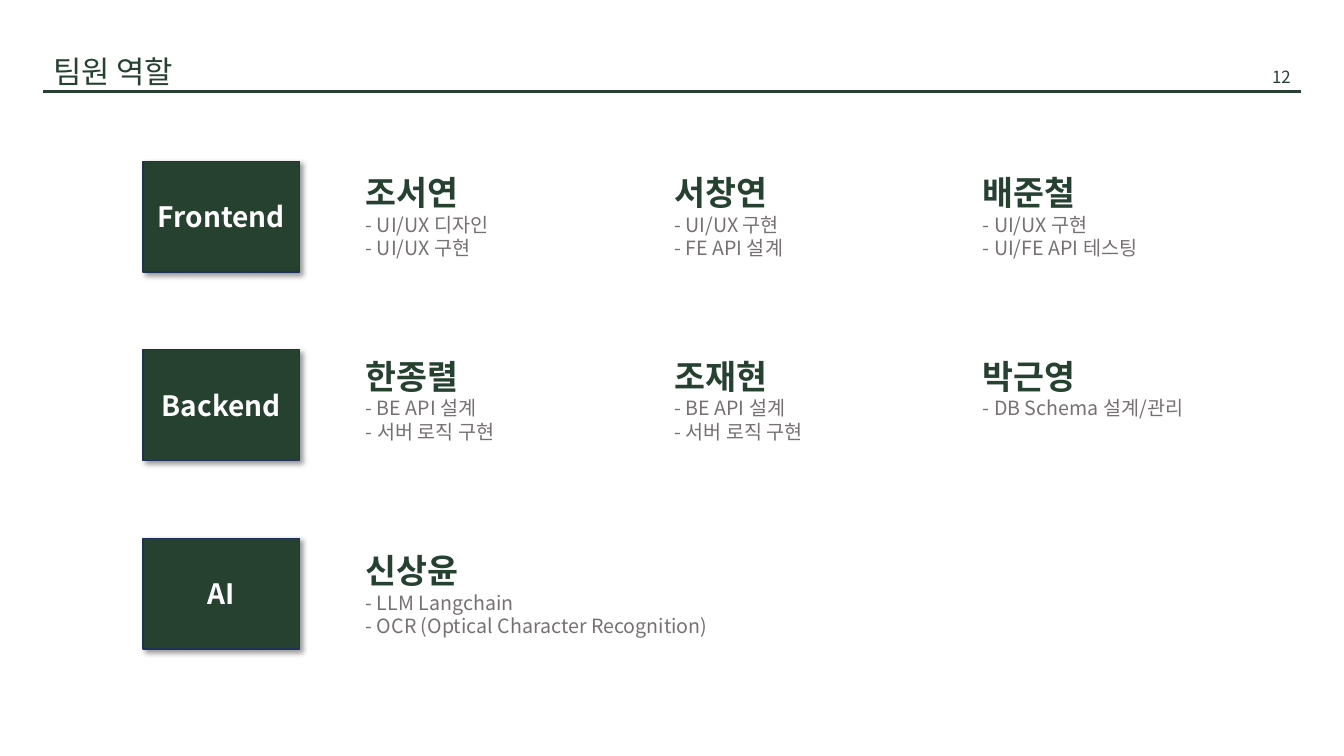
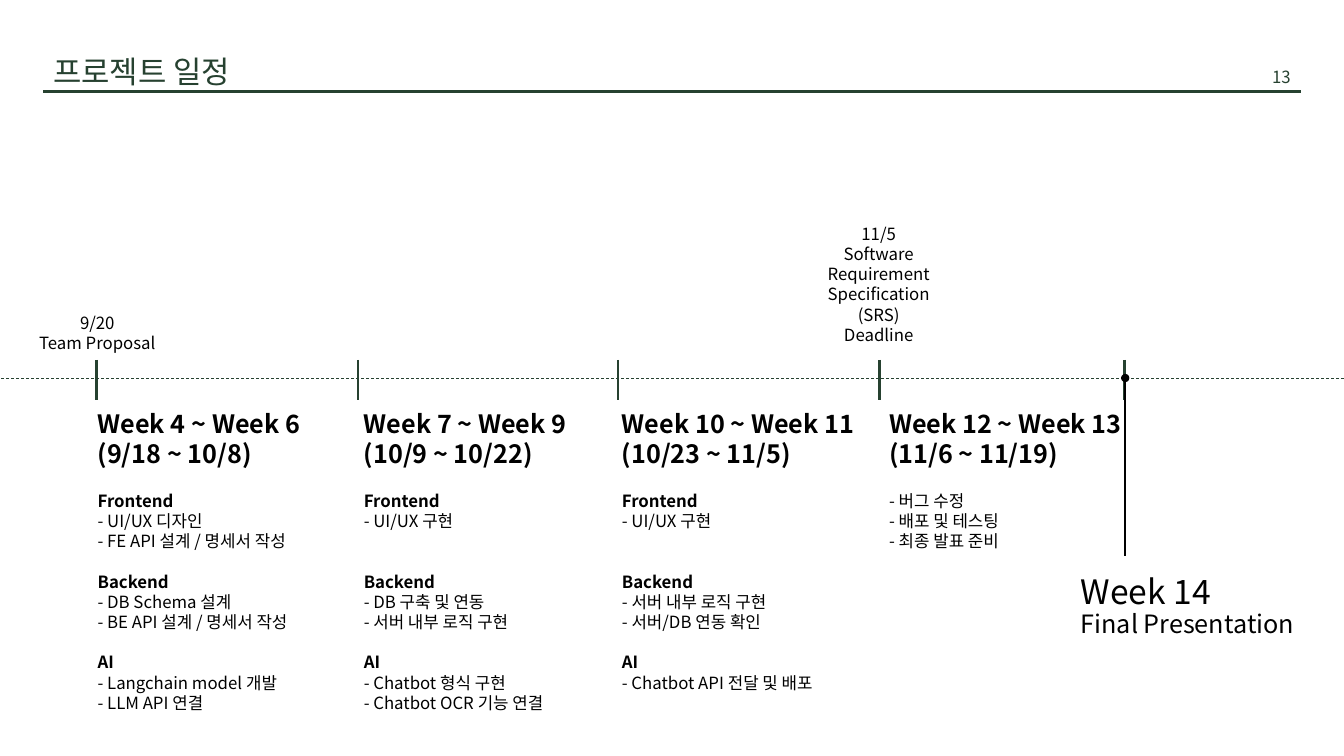
"""Build the team roles and project schedule slides."""
from lxml import etree
from pptx import Presentation
from pptx.dml.color import RGBColor
from pptx.enum import dml, shapes, text
from pptx.oxml import ns
from pptx.util import Inches, Pt

COLORS = {"green": "264130", "navy": "1E3256", "gray": "767171", "black": "000000", "white": "FFFFFF"}
FONT = "Noto Sans CJK KR"
LEADING = 1.2
STYLES = {
    "title": {"size": 22, "color": "green"},
    "number": {"size": 12, "color": "green"},
    "team": {"size": 20, "color": "white", "bold": True},
    "name": {"size": 24, "color": "green", "bold": True},
    "role": {"size": 14, "color": "gray"},
    "week": {"size": 18, "color": "black", "bold": True},
    "area": {"size": 12, "color": "black", "bold": True},
    "task": {"size": 12, "color": "black"},
    "final": {"size": 24, "color": "black"},
    "event": {"size": 18, "color": "black"},
}
LEFT, CENTER, RIGHT = text.PP_ALIGN.LEFT, text.PP_ALIGN.CENTER, text.PP_ALIGN.RIGHT

TEAMS = [
    ("Frontend", 1.66, 2.5, [
        ("조서연", ["- UI/UX 디자인", "- UI/UX 구현"]),
        ("서창연", ["- UI/UX 구현", "- FE API 설계"]),
        ("배준철", ["- UI/UX 구현", "- UI/FE API 테스팅"]),
    ]),
    ("Backend", 3.48, 2.5, [
        ("한종렬", ["- BE API 설계", "- 서버 로직 구현"]),
        ("조재현", ["- BE API 설계", "- 서버 로직 구현"]),
        ("박근영", ["- DB Schema 설계/관리"]),
    ]),
    ("AI", 5.41, 3.74, [
        ("신상윤", ["- LLM Langchain", "- OCR (Optical Character Recognition)"]),
    ]),
]
PERIODS = [
    (0.87, ["Week 4 ~ Week 6", "(9/18 ~ 10/8)"], [
        ("Frontend", ["- UI/UX 디자인", "- FE API 설계 / 명세서 작성"]),
        ("Backend", ["- DB Schema 설계", "- BE API 설계 / 명세서 작성"]),
        ("AI", ["- Langchain model 개발", "- LLM API 연결"]),
    ]),
    (3.51, ["Week 7 ~ Week 9", "(10/9 ~ 10/22)"], [
        ("Frontend", ["- UI/UX 구현"]),
        ("Backend", ["- DB 구축 및 연동", "- 서버 내부 로직 구현"]),
        ("AI", ["- Chatbot 형식 구현", "- Chatbot OCR 기능 연결"]),
    ]),
    (6.07, ["Week 10 ~ Week 11", "(10/23 ~ 11/5)"], [
        ("Frontend", ["- UI/UX 구현"]),
        ("Backend", ["- 서버 내부 로직 구현", "- 서버/DB 연동 확인"]),
        ("AI", ["- Chatbot API 전달 및 배포"]),
    ]),
    (8.72, ["Week 12 ~ Week 13", "(11/6 ~ 11/19)"], [
        (None, ["- 버그 수정", "- 배포 및 테스팅", "- 최종 발표 준비"]),
    ]),
]
MILESTONES = [
    (0.09, 3.05, 0.5, ["9/20", "Team Proposal"]),
    (7.84, 2.17, 1.31, ["11/5", "Software Requirement Specification", "(SRS)", "Deadline"]),
]
TICKS = [0.96, 3.55, 6.13, 8.72, 11.15]
AXIS_Y = 3.75
SECTION_LINES = 4


def rgb(name):
    return RGBColor.from_string(COLORS[name])


def styled(lines, style):
    return [(line, style, 0) for line in lines]


def write(tf, paragraphs, align=LEFT):
    tf.word_wrap = True
    for i, (words, style, gap) in enumerate(paragraphs):
        fmt = STYLES[style]
        p = tf.paragraphs[0] if i == 0 else tf.add_paragraph()
        line_height = fmt["size"] * LEADING
        layout = {"alignment": align, "line_spacing": Pt(line_height), "space_before": Pt(gap * line_height)}
        for key, value in layout.items():
            setattr(p, key, value)
        r = p.add_run()
        r.text = words
        for key, value in {"name": FONT, "size": Pt(fmt["size"]), "bold": fmt.get("bold", False)}.items():
            setattr(r.font, key, value)
        r.font.color.rgb = rgb(fmt["color"])
        latin = r.font._element.find(ns.qn("a:latin"))
        latin.addnext(etree.Element(ns.qn("a:ea"), typeface=FONT))


def add_text(s, x, y, w, h, paragraphs, align=LEFT):
    write(s.shapes.add_textbox(*map(Inches, (x, y, w, h))).text_frame, paragraphs, align)


def add_line(s, x1, y1, x2, y2, color="green", width=2.0, dash=None, head=None):
    line = s.shapes.add_connector(shapes.MSO_CONNECTOR.STRAIGHT, *map(Inches, (x1, y1, x2, y2)))
    line.line.color.rgb = rgb(color)
    line.line.width = Pt(width)
    if dash:
        line.line.dash_style = dash
    if head:
        etree.SubElement(line.line._get_or_add_ln(), ns.qn("a:headEnd"), type=head)
    etree.SubElement(line._element.spPr, ns.qn("a:effectLst"))


def add_team_box(s, y, team):
    box = s.shapes.add_shape(shapes.MSO_SHAPE.RECTANGLE, *map(Inches, (1.42, y, 1.55, 1.1)))
    box.fill.solid()
    box.fill.fore_color.rgb = rgb("green")
    box.line.color.rgb = rgb("navy")
    box.line.width = Pt(1)
    box.shadow.inherit = False
    effects = box._element.spPr.find(ns.qn("a:effectLst"))
    shadow = etree.SubElement(effects, ns.qn("a:outerShdw"), blurRad=str(Pt(4)), dist=str(Pt(3)),
                              dir="2700000", algn="tl", rotWithShape="0")
    color = etree.SubElement(shadow, ns.qn("a:srgbClr"), val=COLORS["black"])
    etree.SubElement(color, ns.qn("a:alpha"), val="40000")
    box.text_frame.vertical_anchor = text.MSO_ANCHOR.MIDDLE
    write(box.text_frame, styled([team], "team"), CENTER)


def new_slide(prs, title, number):
    s = prs.slides.add_slide(prs.slide_layouts[6])
    add_line(s, 0.43, 0.91, 12.9, 0.91)
    add_text(s, 0.43, 0.47, 6, 0.47, styled([title], "title"))
    add_text(s, 11.67, 0.61, 1.23, 0.3, styled([number], "number"), RIGHT)
    return s


def build_roles(prs):
    s = new_slide(prs, "팀원 역할", "12")
    for row, (team, y, width, members) in enumerate(TEAMS):
        add_team_box(s, 1.6 + 1.87 * row, team)
        for col, (name, roles) in enumerate(members):
            add_text(s, 3.53 + 3.06 * col, y, width, 0.98, styled([name], "name") + styled(roles, "role"))


def section_paragraphs(sections):
    paragraphs, gap = [], 0
    for area, tasks in sections:
        if area:
            paragraphs.append((area, "area", gap))
        paragraphs += styled(tasks, "task")
        gap = SECTION_LINES - 1 - len(tasks)
    return paragraphs


def build_schedule(prs):
    s = new_slide(prs, "프로젝트 일정", "13")
    add_line(s, 13.33, AXIS_Y, 0, AXIS_Y, width=0.5, dash=dml.MSO_LINE.DASH)
    for x in TICKS:
        add_line(s, x, 3.57, x, 3.97)
    add_line(s, 11.16, AXIS_Y, 11.16, 5.52, "black", 1.25, head="oval")
    for x, heading, sections in PERIODS:
        add_text(s, x, 4, 3, 0.71, styled(heading, "week"))
        add_text(s, x, 4.82, 3, 2.32, section_paragraphs(sections))
    for x, y, h, lines in MILESTONES:
        add_text(s, x, y, 1.75, h, styled(lines, "task"), CENTER)
    add_text(s, 10.62, 5.61, 2.7, 0.5, styled(["Week 14"], "final"))
    add_text(s, 10.62, 5.99, 2.7, 0.4, styled(["Final Presentation"], "event"))


def main():
    prs = Presentation()
    prs.slide_width, prs.slide_height = Inches(13.33), Inches(7.5)
    build_roles(prs)
    build_schedule(prs)
    prs.save("out.pptx")


if __name__ == "__main__":
    main()
